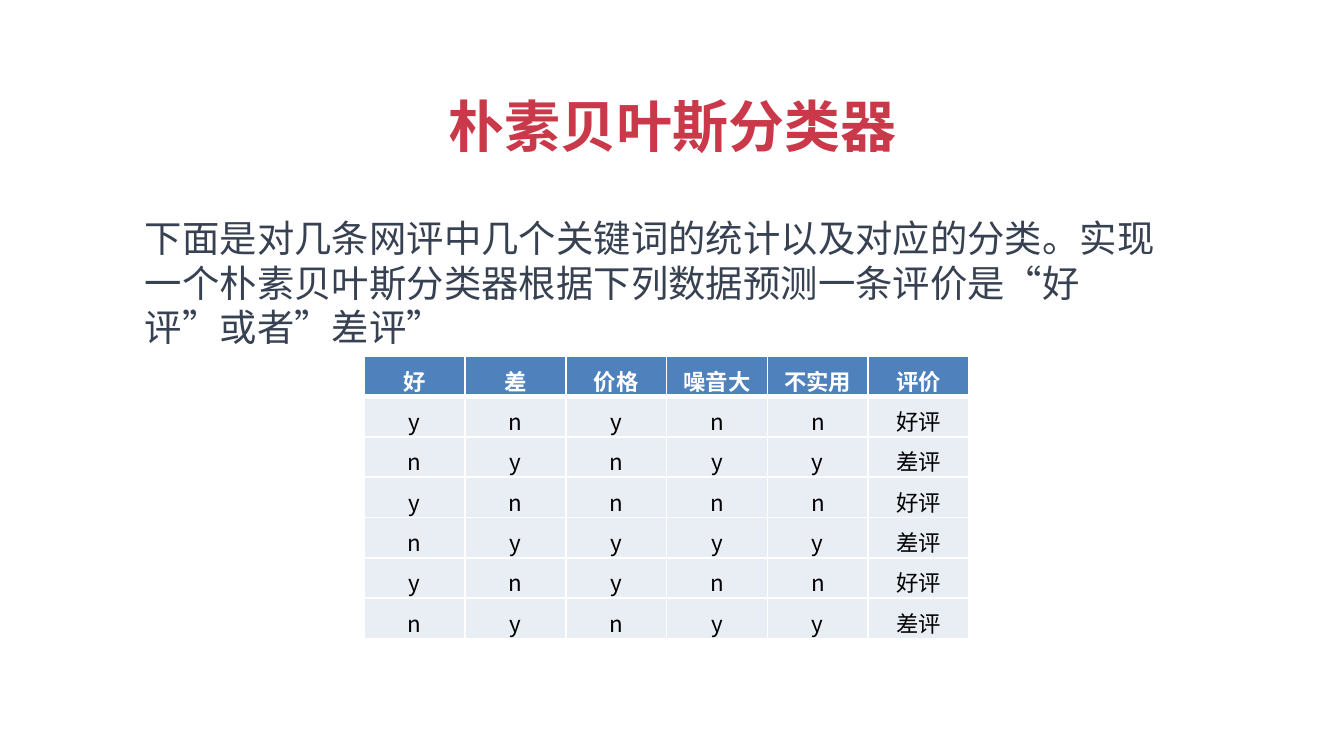
from lxml import etree
from pptx import Presentation
from pptx.dml.color import RGBColor
from pptx.enum.text import MSO_ANCHOR, MSO_AUTO_SIZE, PP_ALIGN
from pptx.oxml.ns import qn
from pptx.util import Inches, Pt

CENTER = PP_ALIGN.CENTER
MIDDLE = MSO_ANCHOR.MIDDLE
GROW = MSO_AUTO_SIZE.SHAPE_TO_FIT_TEXT

RED = RGBColor(0xC9, 0x39, 0x4A)
SLATE = RGBColor(0x37, 0x41, 0x51)
BLUE = RGBColor(0x4F, 0x81, 0xBD)
PALE = RGBColor(0xE9, 0xED, 0xF4)
WHITE = RGBColor(0xFF, 0xFF, 0xFF)
BLACK = RGBColor(0, 0, 0)

CJK = "Noto Sans CJK SC"
LATIN = "Roboto"

TITLE = "朴素贝叶斯分类器"
INTRO = ("下面是对几条网评中几个关键词的统计以及对应的分类。"
         "实现一个朴素贝叶斯分类器根据下列数据预测一条评价是“好评”或者”差评”")
HEADER = ["好", "差", "价格", "噪音大", "不实用", "评价"]
REVIEWS = [
    ["y", "n", "y", "n", "n", "好评"],
    ["n", "y", "n", "y", "y", "差评"],
    ["y", "n", "n", "n", "n", "好评"],
    ["n", "y", "y", "y", "y", "差评"],
    ["y", "n", "y", "n", "n", "好评"],
    ["n", "y", "n", "y", "y", "差评"],
]
COL_WIDTH = 0.75
ROW_HEIGHT = 0.3


def write(tf, text, font, size, color, bold=False, align=None):
    tf.text = text
    p = tf.paragraphs[0]
    p.alignment = align
    r = p.runs[0]
    r.font.name = font
    r.font.size = Pt(size)
    r.font.bold = bold
    r.font.color.rgb = color
    r_pr = r.font._element
    r_pr.set("lang", "zh-CN")
    etree.SubElement(r_pr, qn("a:ea"), typeface=CJK)


def add_text(s, box, text, font, size, color, wrap=True, **style):
    tf = s.shapes.add_textbox(*map(Inches, box)).text_frame
    tf.word_wrap = wrap
    tf.auto_size = GROW
    write(tf, text, font, size, color, **style)


def set_borders(cell, top, bottom):
    tc_pr = cell._tc.get_or_add_tcPr()
    widths = {"a:lnL": 1, "a:lnR": 1, "a:lnT": top, "a:lnB": bottom}
    for i, (tag, width) in enumerate(widths.items()):
        ln = etree.Element(qn(tag), w=str(Pt(width)))
        fill = etree.SubElement(ln, qn("a:solidFill"))
        etree.SubElement(fill, qn("a:srgbClr"), val=str(WHITE))
        tc_pr.insert(i, ln)


def fill_cell(cell, text, is_header):
    cell.fill.solid()
    cell.fill.fore_color.rgb = BLUE if is_header else PALE
    cell.vertical_anchor = MIDDLE
    cell.margin_left = cell.margin_right = Inches(0.05)
    cell.margin_top = Inches(0.06)
    cell.margin_bottom = Inches(0.01)
    write(cell.text_frame, text, CJK, 12, WHITE if is_header else BLACK,
          bold=is_header, align=CENTER)


def add_review_table(s, left, top):
    rows = [HEADER] + REVIEWS
    size = COL_WIDTH * len(HEADER), ROW_HEIGHT * len(rows)
    table = s.shapes.add_table(len(rows), len(HEADER),
                               *map(Inches, (left, top, *size))).table
    for col in table.columns:
        col.width = Inches(COL_WIDTH)
    for i, row in enumerate(rows):
        table.rows[i].height = Inches(ROW_HEIGHT)
        for j, text in enumerate(row):
            cell = table.cell(i, j)
            fill_cell(cell, text, i == 0)
            set_borders(cell, 3 if i == 1 else 1, 3 if i == 0 else 1)


def main():
    prs = Presentation()
    prs.slide_width = Inches(10)
    prs.slide_height = Inches(10) * 9 // 16
    s = prs.slides.add_slide(prs.slide_layouts[6])
    add_text(s, (3.22, 0.63, 3.57, 0.61), TITLE, CJK, 30, RED,
             wrap=False, bold=True, align=CENTER)
    add_text(s, (0.98, 1.55, 7.95, 1.11), INTRO, LATIN, 20, SLATE)
    add_review_table(s, 2.71, 2.65)
    prs.save("out.pptx")


if __name__ == "__main__":
    main()
